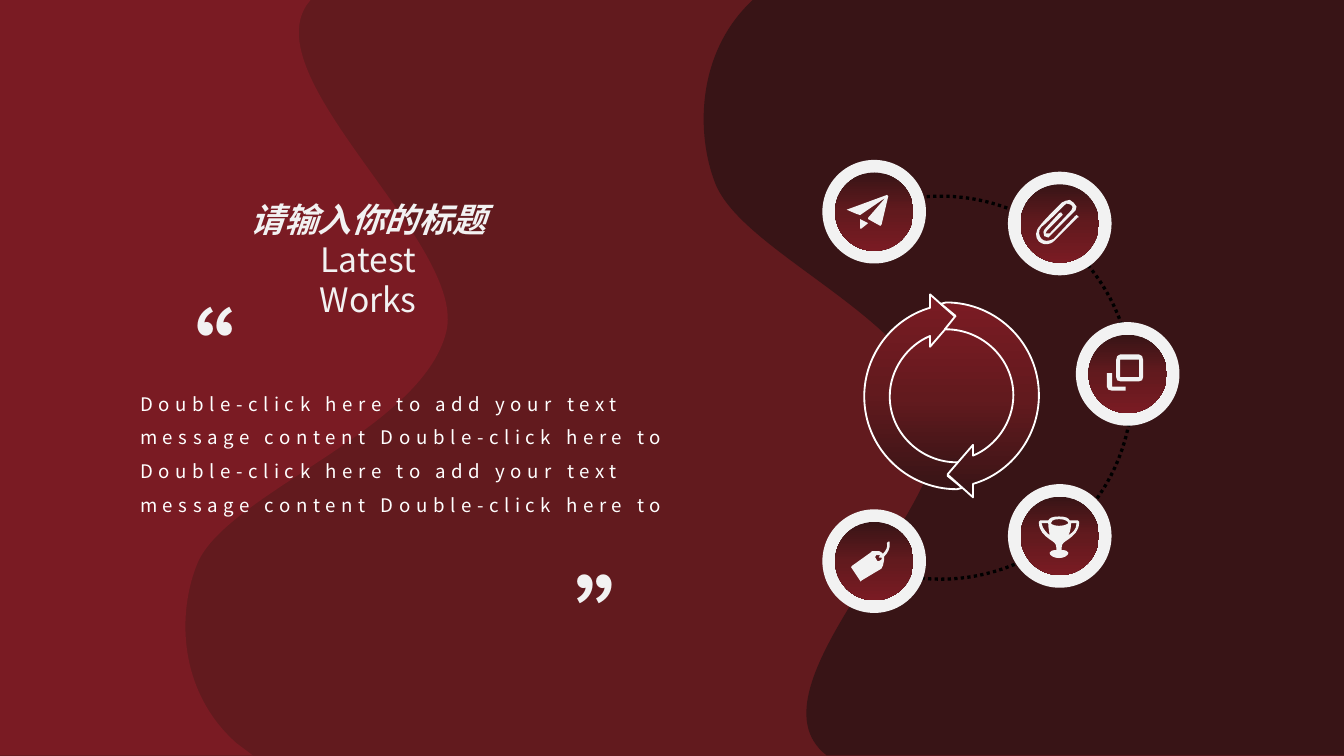
from copy import deepcopy
from dataclasses import dataclass
from math import cos, radians, sin, tan

from lxml import etree
from pptx import Presentation
from pptx.dml.color import RGBColor
from pptx.enum.dml import MSO_LINE
from pptx.enum.shapes import MSO_SHAPE
from pptx.enum.text import MSO_ANCHOR, MSO_AUTO_SIZE, PP_ALIGN
from pptx.oxml.ns import qn
from pptx.util import Pt

ELLIPSE, DOTTED = MSO_SHAPE.OVAL, MSO_LINE.ROUND_DOT
TOP, NO_FIT = MSO_ANCHOR.TOP, MSO_AUTO_SIZE.NONE
LEFT, CENTER = PP_ALIGN.LEFT, PP_ALIGN.CENTER


@dataclass(frozen=True)
class Theme:
    dark: RGBColor = RGBColor(0x38, 0x14, 0x16)
    middle: RGBColor = RGBColor(0x62, 0x1A, 0x1E)
    bright: RGBColor = RGBColor(0x7A, 0x1B, 0x23)
    pale: RGBColor = RGBColor(0xF2, 0xF2, 0xF2)
    white: RGBColor = RGBColor(0xFF, 0xFF, 0xFF)
    black: RGBColor = RGBColor(0, 0, 0)
    font: str = "Noto Sans CJK SC"
    title_size: int = 18
    body_size: int = 10
    quote_size: int = 50


THEME = Theme()
CELL = 0.72  # points per outline unit
FINE = 100   # subdivisions of a unit
BADGE, DISC = 55.5, 42

# An outline is a list of contours. A pair is a corner; six numbers are a curve.
LEFT_WAVE = [[(0, 0), (231, 0), (228, 4), (191, 61, 348, 183, 332, 247),
              (314, 320, 169, 367, 147, 419), (132, 455, 132, 514, 176, 553),
              (188, 562), (0, 562)]]
RIGHT_WAVE = [[(560, 0), (1000, 0), (1000, 562), (615, 562),
               (551, 512, 713, 376, 698, 308), (682, 236, 552, 188, 532, 136),
               (518, 100, 518, 41, 558, 2)]]
CYCLE_ARROW = [[(62, 135), (70, 125), (69, 125), (42, 125, 19, 103, 19, 76),
                (19, 56, 32, 38, 49, 31), (49, 39), (68, 17), (49, 0), (49, 10),
                (21, 18, 0, 45, 0, 76), (0, 114, 31, 145, 69, 145), (73, 144)]]
TAG = [[(43, 38), (42, 39, 40, 39, 40, 37), (39, 36, 39, 35, 40, 34),
        (42, 34, 42, 34, 43, 34), (42, 35, 42, 36, 42, 36), (44, 36),
        (45, 37, 44, 37, 43, 38)],
       [(50, 24), (49, 24), (48, 24, 48, 24, 48, 25), (49, 28, 47, 31, 45, 33),
        (44, 32), (43, 31, 43, 31, 42, 31), (37, 31), (37, 31, 36, 31, 36, 32),
        (22, 42), (21, 42, 21, 44, 22, 44), (28, 53), (28, 54, 29, 54, 29, 53),
        (44, 44), (44, 43, 45, 42, 45, 42), (46, 37), (46, 35),
        (48, 33, 51, 29, 50, 24)]]
TROPHY = [[(25, 29), (30, 29), (30, 33, 31, 36, 31, 38), (29, 36, 26, 34, 25, 29)],
          [(38, 26), (43, 26, 45, 28, 45, 29), (45, 29, 43, 31, 38, 31),
           (33, 31, 32, 29, 32, 29), (32, 28, 33, 26, 38, 26)],
          [(45, 38), (46, 36, 47, 33, 47, 29), (51, 29), (51, 34, 48, 36, 45, 38)],
          [(40, 47), (40, 44, 42, 43, 45, 41), (49, 38, 53, 35, 53, 28),
           (53, 27, 53, 27, 52, 27), (46, 27), (45, 25, 43, 24, 38, 24),
           (33, 24, 31, 25, 30, 27), (24, 27), (23, 27, 23, 27, 23, 28),
           (23, 35, 27, 38, 31, 41), (34, 43, 36, 44, 36, 47), (36, 49),
           (33, 49, 31, 50, 31, 51), (31, 53, 34, 55, 38, 55),
           (42, 55, 45, 53, 45, 51), (45, 50, 43, 49, 40, 49)]]
PAPER_CLIP = [[(29, 54), (26, 54, 24, 53, 23, 52), (20, 49, 20, 44, 24, 40),
               (26, 37, 35, 28, 40, 23), (42, 22, 44, 21, 46, 21),
               (48, 22, 50, 24, 51, 26), (51, 28, 50, 30, 48, 31), (32, 47),
               (32, 48, 30, 48, 30, 49), (28, 49, 28, 48, 27, 48),
               (26, 46, 26, 44, 28, 42), (38, 31), (39, 30, 40, 30, 40, 31),
               (41, 32, 41, 32, 40, 33), (29, 44), (28, 45, 28, 46, 28, 46),
               (29, 46), (30, 46, 30, 46, 31, 46), (46, 30),
               (48, 28, 48, 27, 48, 26), (48, 25, 46, 24, 45, 24),
               (44, 23, 43, 24, 42, 25), (37, 30, 28, 39, 25, 41),
               (22, 44, 23, 48, 25, 50), (27, 52, 30, 52, 34, 50), (50, 33),
               (51, 32, 51, 32, 52, 33), (53, 34, 53, 34, 52, 34), (35, 51),
               (33, 53, 31, 54, 29, 54)]]
WINDOWS = [[(27, 38), (23, 38), (23, 48), (23, 50, 25, 51, 27, 51), (37, 51),
            (37, 48), (27, 48)],
           [(47, 41), (33, 41), (33, 28), (47, 28)],
           [(47, 24), (33, 24), (31, 24, 30, 26, 30, 28), (30, 41),
            (30, 43, 31, 44, 33, 44), (47, 44), (49, 44, 50, 43, 50, 41),
            (50, 28), (50, 26, 49, 24, 47, 24)]]
PAPER_PLANE = [[(28, 51), (29, 51), (34, 47), (28, 44)],
               [(48, 26), (18, 37), (25, 40), (28, 41), (47, 28), (34, 43),
                (34, 44), (43, 49), (44, 49, 44, 49, 44, 48), (49, 27)]]
BADGES = [(TAG, 440.6, 272.9), (TROPHY, 540, 259.4), (PAPER_CLIP, 540, 92),
          (WINDOWS, 576.4, 172.6), (PAPER_PLANE, 440.6, 85.7)]


def bend_segments(shape, contours):
    """Turn the straight segments that stand for curves into cubic curves."""
    items = [item for contour in contours for item in contour[1:]]
    ends = [item[-2:] for contour in contours for item in contour]
    origin = [round(min(end[axis] for end in ends) * FINE) for axis in (0, 1)]
    segments = list(shape.element.spPr.iter(qn("a:lnTo")))
    for segment, item in zip(segments, items):
        if len(item) == 2:
            continue
        curve = etree.Element(qn("a:cubicBezTo"))
        for x, y in zip(item[::2], item[1::2]):
            point = etree.SubElement(curve, qn("a:pt"))
            point.set("x", str(round(x * FINE) - origin[0]))
            point.set("y", str(round(y * FINE) - origin[1]))
        segment.getparent().replace(segment, curve)


def add_outline(shapes, contours, left, top, closed=True):
    builder = None
    for contour in contours:
        start, *ends = [(item[-2] * FINE, item[-1] * FINE) for item in contour]
        if builder:
            builder.move_to(*start)
        else:
            builder = shapes.build_freeform(*start, scale=Pt(CELL) / FINE)
        builder.add_line_segments(ends, close=False)
        if closed and ends[-1] != start:
            builder.add_line_segments([], close=True)
    shape = builder.convert_to_shape(Pt(left), Pt(top))
    bend_segments(shape, contours)
    shape.shadow.inherit = False
    shape.line.fill.background()
    return shape


def add_ellipse(shapes, left, top, size):
    shape = shapes.add_shape(ELLIPSE, Pt(left), Pt(top), Pt(size), Pt(size))
    shape.shadow.inherit = False
    shape.line.fill.background()
    return shape


def paint(shape, color):
    shape.fill.solid()
    shape.fill.fore_color.rgb = color


def paint_gradient(shape, angle):
    shape.fill.gradient()
    shape.fill.gradient_angle = angle
    stop_list = shape.element.spPr.find(".//" + qn("a:gsLst"))
    stop_list.insert(1, deepcopy(stop_list[0]))
    colors = (THEME.dark, THEME.middle, THEME.bright)
    for stop, position, color in zip(shape.fill.gradient_stops, (0, 0.5, 1), colors):
        stop.position = position
        stop.color.rgb = color


def add_backdrop(page):
    page.background.fill.solid()
    page.background.fill.fore_color.rgb = THEME.middle
    for wave, color in ((LEFT_WAVE, THEME.bright), (RIGHT_WAVE, THEME.dark)):
        paint(add_outline(page.shapes, wave, 0, 0), color)


def add_dotted_ring(page, center_x, center_y, radius):
    size = radius / CELL
    bounds = [radians(degrees) for degrees in (-106, -57.4, -5, 47.7, 113.6)]
    for a, b in zip(bounds, bounds[1:]):
        pull = 4 / 3 * tan((b - a) / 4)
        curve = (cos(a) - pull * sin(a), sin(a) + pull * cos(a),
                 cos(b) + pull * sin(b), sin(b) - pull * cos(b), cos(b), sin(b))
        arc = [(size * cos(a), size * sin(a)), tuple(size * value for value in curve)]
        shape = add_outline(page.shapes, [arc], center_x, center_y, closed=False)
        shape.fill.background()
        shape.line.color.rgb = THEME.black
        shape.line.width = Pt(1.75)
        shape.line.dash_style = DOTTED


def add_cycle(page, left, top):
    shapes = page.shapes.add_group_shape().shapes
    paint_gradient(add_ellipse(shapes, left + 3.6, top + 13.7, 84.2), 90)
    # The second arrow is the first after a half turn in a 130 by 151 box.
    half_turn = [[tuple((130, 151)[i % 2] - value for i, value in enumerate(item))
                  for item in contour] for contour in CYCLE_ARROW]
    for arrow in (CYCLE_ARROW, half_turn):
        shape = add_outline(shapes, arrow, left, top)
        paint_gradient(shape, 90)
        shape.line.color.rgb = THEME.white
        shape.line.width = Pt(1)


def add_badge(page, icon, left, top):
    shapes = page.shapes.add_group_shape().shapes
    inset = (BADGE - DISC) / 2
    paint(add_ellipse(shapes, left, top, BADGE), THEME.pale)
    paint_gradient(add_ellipse(shapes, left + inset, top + inset, DISC), 270)
    paint(add_outline(shapes, icon, left, top), THEME.pale)


def fill_text(shape, box, lines, size, color, align=LEFT, spacing=None, tracking=0):
    """Lines are (text, bold, italic)."""
    shape.left, shape.top, shape.width, shape.height = map(Pt, box)
    frame = shape.text_frame
    frame.word_wrap, frame.auto_size, frame.vertical_anchor = True, NO_FIT, TOP
    frame.margin_left = frame.margin_right = Pt(5.1)
    frame.margin_top = frame.margin_bottom = Pt(2.6)
    for index, (text, bold, italic) in enumerate(lines):
        para = frame.add_paragraph() if index else frame.paragraphs[0]
        para.alignment = align
        para.line_spacing = spacing
        span = para.add_run()
        span.text = text
        font = span.font
        font.size, font.bold, font.italic = Pt(size), bold, italic
        font.color.rgb = color
        font.name = THEME.font
        properties = span._r.get_or_add_rPr()
        etree.SubElement(properties, qn("a:ea")).set("typeface", THEME.font)
        if tracking:
            properties.set("spc", str(tracking * 100))


def add_quotation(page, left, top):
    title = page.shapes.title
    title.element.getparent().append(title.element)  # in front of the waves
    fill_text(title, (left + 56, top, 142.5, 70.5),
              [("请输入你的标题", True, True), ("Latest", False, False),
               ("Works", False, False)], THEME.title_size, THEME.pale, CENTER)
    for x, y, turn in ((0.5, 51.2, 0), (268.5, 146.2, 180)):
        mark = page.shapes.add_textbox(0, 0, 0, 0)
        fill_text(mark, (left + x, top + y, 24.5, 83), [("“", True, False)],
                  THEME.quote_size, THEME.pale)
        mark.rotation = turn
    sentence = "Double-click here to add your text message content Double-click here to"
    fill_text(page.shapes.add_textbox(0, 0, 0, 0), (left, top + 98, 319, 94.5),
              [(f"{sentence} {sentence}", False, False)],
              THEME.body_size, THEME.white, spacing=1.5, tracking=3)


def main():
    deck = Presentation()
    deck.slide_width, deck.slide_height = Pt(720), Pt(405)
    page = deck.slides.add_slide(deck.slide_layouts[5])
    add_backdrop(page)
    add_dotted_ring(page, 504, 207.7, 102.6)
    add_cycle(page, 463, 157.7)
    for icon, left, top in BADGES:
        add_badge(page, icon, left, top)
    add_quotation(page, 70, 103.7)
    deck.save("out.pptx")


if __name__ == "__main__":
    main()
